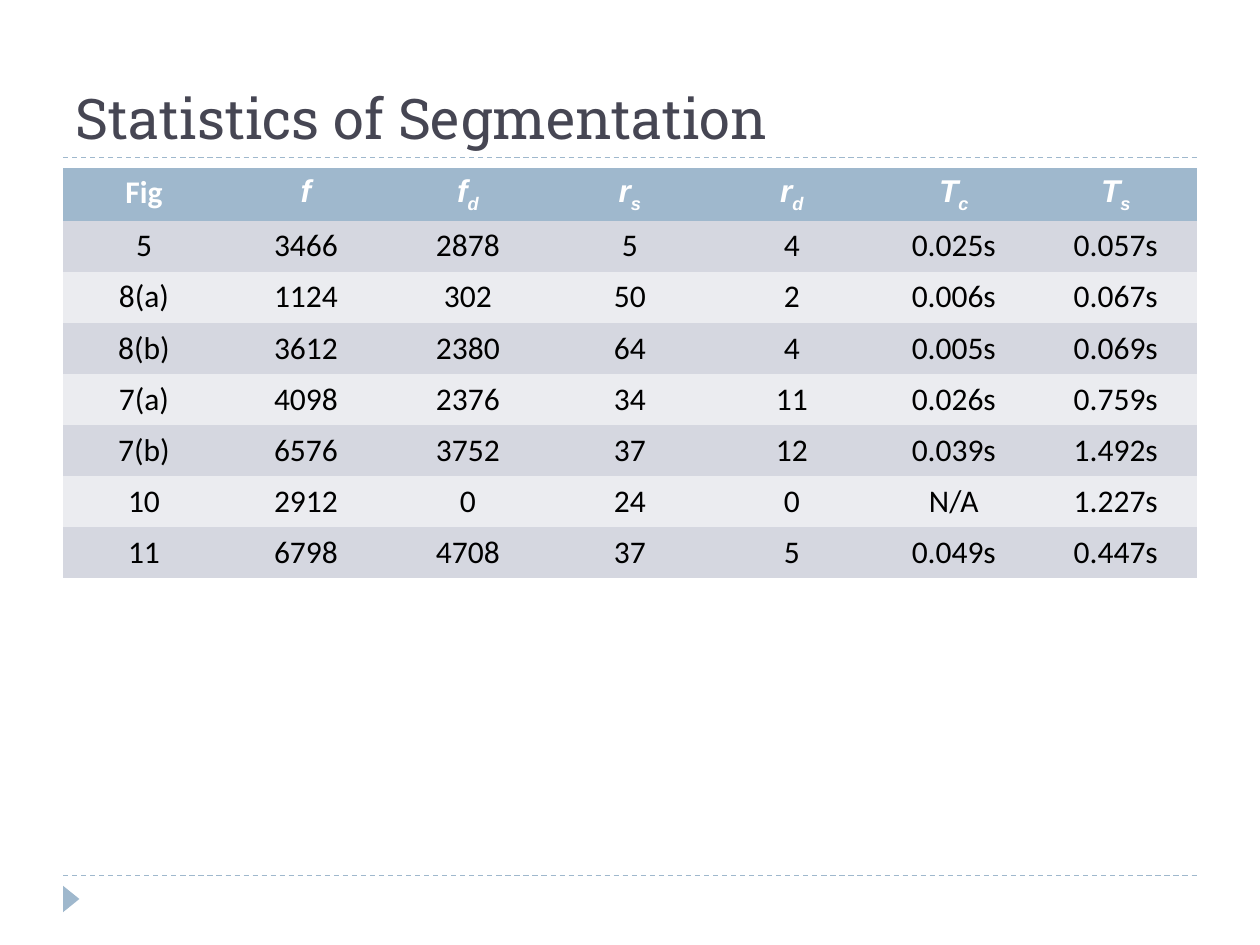
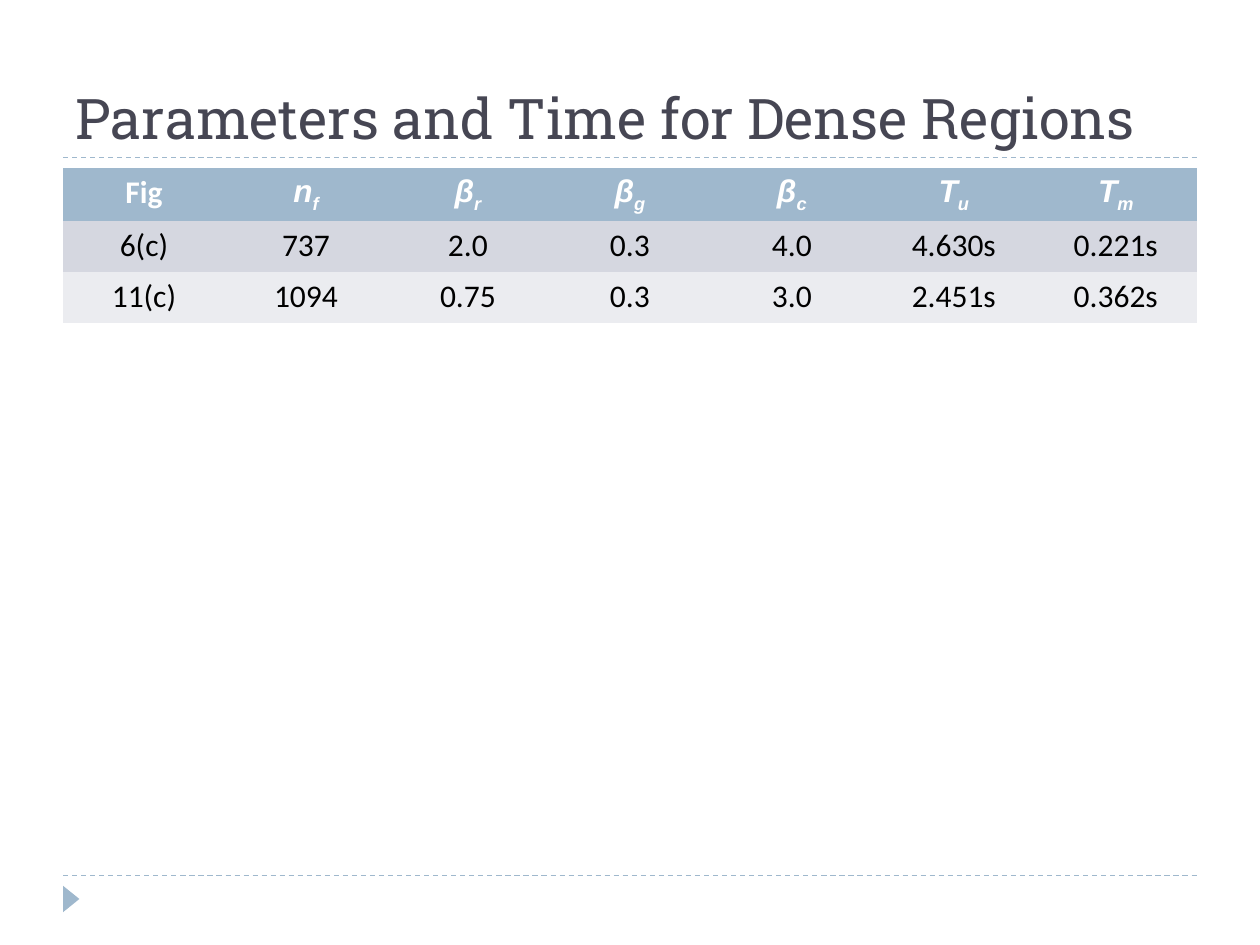
from lxml import etree
from pptx import Presentation
from pptx import util as u
from pptx.dml.color import RGBColor
from pptx.enum import dml, shapes, text
from pptx.oxml.ns import qn

LEFT, WIDTH = 0.5, 9
ROW_HEIGHT = 3.24 / 8
NO_STYLE_NO_GRID = "{2D5ABB26-0587-4C30-8999-92F81FD0307C}"


def rgb(value):
    return RGBColor.from_string(value)


class Deck:
    ACCENT, TITLE, WHITE, BLACK = "9FB8CD", "464653", "FFFFFF", "000000"
    BANDS = ("D5D7E0", "EBECF0")
    TITLE_FONT, BODY_FONT, SYMBOL_FONT = "Roboto Slab", "Calibri", "Arial"

    def __init__(self):
        self.prs = Presentation()
        self.prs.slide_width = u.Inches(10)
        self.prs.slide_height = u.Inches(7.5)
        self.s = None

    def style(self, font, name, size, color, bold=False, italic=False):
        font.name, font.size = name, u.Pt(size)
        font.color.rgb = rgb(color)
        font.bold, font.italic = bold, italic

    def add_slide(self, title):
        self.s = self.prs.slides.add_slide(self.prs.slide_layouts[5])
        self.rule(6.95)
        self.rule(1.25)
        self.marker()
        self.title(title)

    def rule(self, y):
        line = self.s.shapes.add_connector(
            shapes.MSO_CONNECTOR.STRAIGHT, u.Inches(LEFT), u.Inches(y),
            u.Inches(LEFT + WIDTH), u.Inches(y))
        line.line.color.rgb = rgb(self.ACCENT)
        line.line.width = u.Pt(0.75)
        line.line.dash_style = dml.MSO_LINE.DASH
        etree.SubElement(line._element.spPr, qn("a:effectLst"))

    def marker(self):
        sp = self.s.shapes.add_shape(
            shapes.MSO_SHAPE.ISOSCELES_TRIANGLE, u.Inches(0.46),
            u.Inches(7.07), u.Inches(0.21), u.Inches(0.13))
        sp.rotation = 90
        sp.shadow.inherit = False
        sp.fill.solid()
        sp.fill.fore_color.rgb = rgb(self.ACCENT)
        sp.line.fill.background()

    def title(self, words):
        sp = self.s.shapes.title
        sp.left, sp.top = u.Inches(LEFT), u.Inches(0.17)
        sp.width, sp.height = u.Inches(WIDTH), u.Inches(1.08)
        tf = sp.text_frame
        tf.text = words
        tf.word_wrap = True
        tf.auto_size = text.MSO_AUTO_SIZE.NONE
        tf.vertical_anchor = text.MSO_ANCHOR.BOTTOM
        p = tf.paragraphs[0]
        p.alignment = text.PP_ALIGN.LEFT
        self.style(p.font, self.TITLE_FONT, 32, self.TITLE)

    def table(self, symbols, rows):
        """Each symbol is a base letter, optionally followed by _subscript."""
        header = ["Fig", *symbols]
        frame = self.s.shapes.add_table(
            len(rows) + 1, len(header), u.Inches(LEFT), u.Inches(1.33),
            u.Inches(WIDTH), u.Inches(ROW_HEIGHT * (len(rows) + 1)))
        table = frame.table
        table._tbl.tblPr.find(qn("a:tableStyleId")).text = NO_STYLE_NO_GRID

        # Header row
        for col, label in enumerate(header):
            p = self.cell(table.cell(0, col), self.ACCENT)
            is_symbol = col > 0
            self.style(p.font, self.SYMBOL_FONT if is_symbol else self.BODY_FONT,
                       18, self.WHITE, bold=True, italic=is_symbol)
            base, _, subscript = label.partition("_")
            p.add_run().text = base
            if subscript:
                r = p.add_run()
                r.text = subscript
                r._r.get_or_add_rPr().set("baseline", "-25000")

        # Banded data rows
        for i, row in enumerate(rows):
            for col, value in enumerate(row.split()):
                p = self.cell(table.cell(i + 1, col), self.BANDS[i % 2])
                p.add_run().text = value
                self.style(p.font, self.BODY_FONT, 18, self.BLACK)

    def cell(self, cell, fill):
        cell.fill.solid()
        cell.fill.fore_color.rgb = rgb(fill)
        p = cell.text_frame.paragraphs[0]
        p.alignment = text.PP_ALIGN.CENTER
        return p


def main():
    deck = Deck()

    # Segmentation statistics
    deck.add_slide("Statistics of Segmentation")
    deck.table(["f", "f_d", "r_s", "r_d", "T_c", "T_s"], [
        "5 3466 2878 5 4 0.025s 0.057s",
        "8(a) 1124 302 50 2 0.006s 0.067s",
        "8(b) 3612 2380 64 4 0.005s 0.069s",
        "7(a) 4098 2376 34 11 0.026s 0.759s",
        "7(b) 6576 3752 37 12 0.039s 1.492s",
        "10 2912 0 24 0 N/A 1.227s",
        "11 6798 4708 37 5 0.049s 0.447s",
    ])

    # Dense regions
    deck.add_slide("Parameters and Time for Dense Regions")
    deck.table(["n_f", "β_r", "β_g", "β_c", "T_u", "T_m"], [
        "6(c) 737 2.0 0.3 4.0 4.630s 0.221s",
        "11(c) 1094 0.75 0.3 3.0 2.451s 0.362s",
    ])

    deck.prs.save("out.pptx")


if __name__ == "__main__":
    main()
